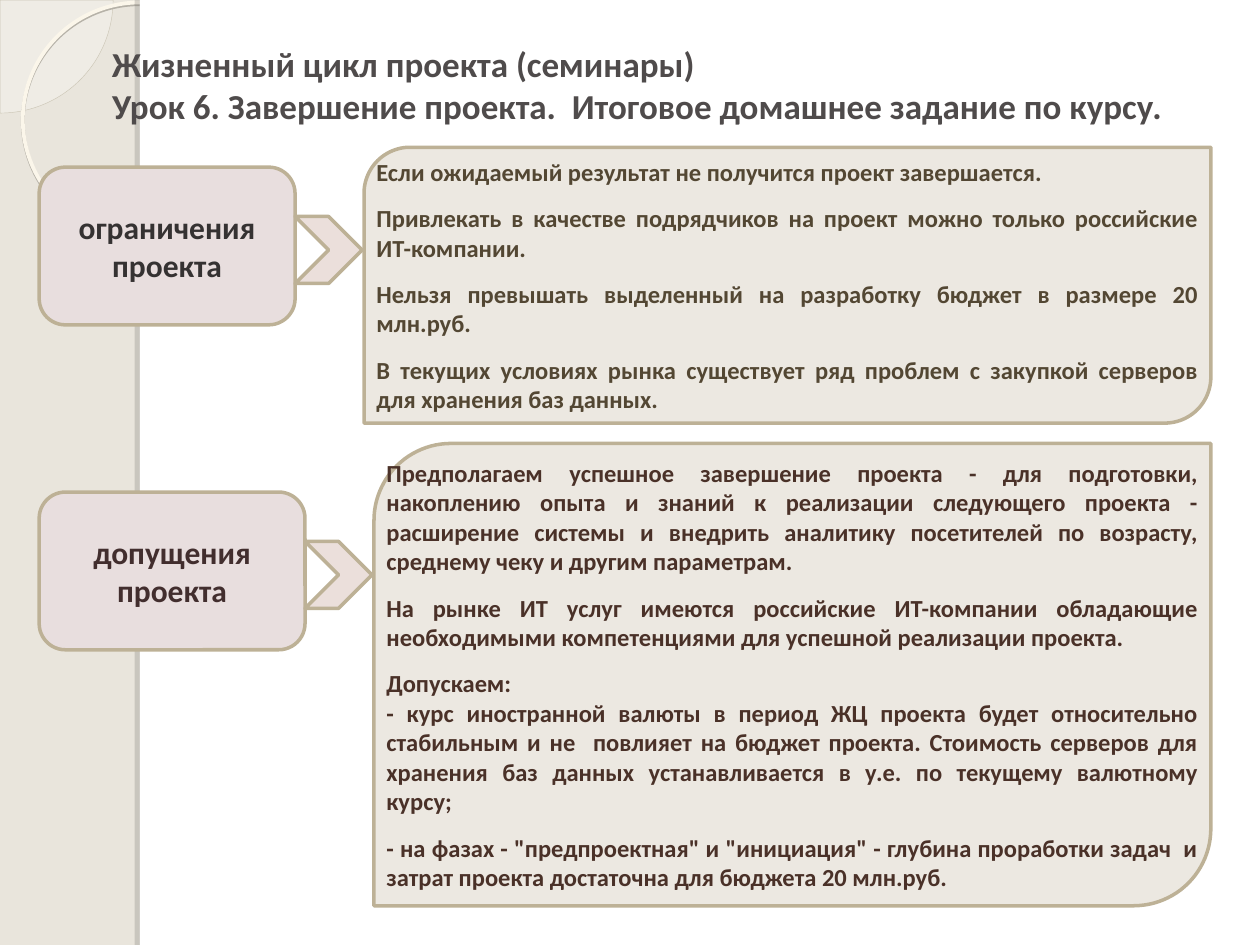
"""Build the slide on project constraints and assumptions."""
import math

import pptx
import pptx.dml.color
import pptx.enum.shapes
import pptx.enum.text
import pptx.oxml
import pptx.oxml.ns
import pptx.util
from lxml import etree

Cm = pptx.util.Cm
Pt = pptx.util.Pt
RGBColor = pptx.dml.color.RGBColor
SHAPE = pptx.enum.shapes.MSO_SHAPE
ALIGN = pptx.enum.text.PP_ALIGN
qn = pptx.oxml.ns.qn

WHITE = RGBColor(0xFF, 0xFF, 0xFF)
BACKGROUND = RGBColor(0xE9, 0xE5, 0xDC)
PIE_FILL = RGBColor(0xFC, 0xFB, 0xF8)
PIE_LINE = RGBColor(0xCC, 0xC6, 0xB6)
RING = RGBColor(0xFB, 0xF6, 0xEA)
RING_SHADOW = RGBColor(0xAD, 0xA9, 0x9F)
BAR_SHADOW = RGBColor(0x71, 0x6E, 0x69)
BORDER = RGBColor(0xBD, 0xB1, 0x96)
LABEL_FILL = RGBColor(0xE8, 0xDE, 0xDE)
PANEL_FILL = RGBColor(0xEC, 0xE8, 0xE1)
CHEVRON_FILL = RGBColor(0xEB, 0xDF, 0xDB)
TITLE_COLOR = RGBColor(0x4F, 0x4B, 0x4B)

TITLE = [
    "Жизненный цикл проекта (семинары)",
    "Урок 6. Завершение проекта.  Итоговое домашнее задание по курсу.",
]
SECTIONS = [
    {
        "label": "ограничения проекта",
        "label_color": RGBColor(0x35, 0x32, 0x32),
        "text_color": RGBColor(0x53, 0x47, 0x33),
        "label_top": 3.37, "label_width": 5.16,
        "panel_top": 2.97, "panel_height": 5.56,
        "text": [
            "Если ожидаемый результат не получится проект завершается.",
            "Привлекать в качестве подрядчиков на проект можно только российские ИТ-компании.",
            "Нельзя превышать выделенный на разработку бюджет в размере 20 млн.руб.",
            "В текущих условиях рынка существует ряд проблем с закупкой серверов для хранения баз данных.",
        ],
        "joined": (0,),
    },
    {
        "label": "допущения проекта",
        "label_color": RGBColor(0x42, 0x2E, 0x2E),
        "text_color": RGBColor(0x4A, 0x31, 0x28),
        "label_top": 9.92, "label_width": 5.36,
        "panel_top": 8.94, "panel_height": 9.32,
        "text": [
            "Предполагаем успешное завершение проекта - для подготовки, накоплению опыта и знаний "
            "к реализации следующего проекта - расширение системы и внедрить аналитику посетителей "
            "по возрасту, среднему чеку и другим параметрам.",
            "На рынке ИТ услуг имеются российские ИТ-компании обладающие необходимыми компетенциями "
            "для успешной реализации проекта.",
            "Допускаем:",
            "- курс иностранной валюты в период ЖЦ проекта будет относительно стабильным и не  "
            "повлияет на бюджет проекта. Стоимость серверов для хранения баз данных устанавливается "
            "в у.е. по текущему валютному курсу;",
            "- на фазах - \"предпроектная\" и \"инициация\" - глубина проработки задач  и затрат "
            "проекта достаточна для бюджета 20 млн.руб.",
        ],
        "joined": (0, 3),
    },
]
WIDTH, HEIGHT = 25.4, 19.05
SIDE = 2.82
LABEL_LEFT, LABEL_HEIGHT = 0.79, 3.18
CHEVRON_SIZE, CHEVRON_DROP = 1.35, 0.08
PANEL_GAP, PANEL_RIGHT = 1.39, 24.41
CORNER_STEPS = 24
PARAGRAPH_GAP = 9.75


def style_shape(shape, fill, line, line_width):
    shape.shadow.inherit = False
    if fill is None:
        shape.fill.background()
    else:
        shape.fill.solid()
        shape.fill.fore_color.rgb = fill
    if line is None:
        shape.line.fill.background()
    else:
        shape.line.color.rgb = line
        shape.line.width = Pt(line_width)
    return shape


def add_shape(slide, kind, left, top, width, height, fill=None, line=None, line_width=2):
    shape = slide.shapes.add_shape(kind, Cm(left), Cm(top), Cm(width), Cm(height))
    return style_shape(shape, fill, line, line_width)


def corner_points(center_x, center_y, radius, start):
    angles = [math.radians(start + 90 * step / CORNER_STEPS) for step in range(CORNER_STEPS + 1)]
    return [(Cm(center_x + radius * math.cos(angle)), Cm(center_y + radius * math.sin(angle)))
            for angle in angles]


def add_panel(slide, left, top, right, height):
    bottom = top + height
    radius = height / 6
    points = corner_points(left + radius, top + radius, radius, 180)
    points.append((Cm(right), Cm(top)))
    points += corner_points(right - radius, bottom - radius, radius, 0)
    points.append((Cm(left), Cm(bottom)))
    builder = slide.shapes.build_freeform(*points[0])
    builder.add_line_segments(points[1:], close=True)
    return style_shape(builder.convert_to_shape(), PANEL_FILL, BORDER, 2)


def set_opacity(color_element, percent):
    etree.SubElement(color_element, qn("a:alpha"), val=str(percent * 1000))


def add_shadow(shape, color, percent, distance, angle):
    effects = shape._element.spPr.find(qn("a:effectLst"))
    shadow = etree.SubElement(
        effects, qn("a:outerShdw"), blurRad="0", dist=str(Pt(distance)),
        dir=str(angle * 60000), algn="ctr", rotWithShape="0")
    set_opacity(etree.SubElement(shadow, qn("a:srgbClr"), val=str(color)), percent)


def write_text(shape, texts, size, color, alignment, gap=0, joined=()):
    frame = shape.text_frame
    frame.word_wrap = True
    frame.vertical_anchor = pptx.enum.text.MSO_ANCHOR.MIDDLE
    for index, text in enumerate(texts):
        paragraph = frame.add_paragraph() if index else frame.paragraphs[0]
        paragraph.text = text
        paragraph.alignment = alignment
        paragraph.space_before = Pt(0 if index in joined else gap)
        paragraph.font.name = "Calibri"
        paragraph.font.size = Pt(size)
        paragraph.font.bold = True
        paragraph.font.color.rgb = color


def add_decoration(slide):
    slide.background.fill.solid()
    slide.background.fill.fore_color.rgb = BACKGROUND
    pie = add_shape(slide, SHAPE.PIE, -2.27, -2.27, 4.55, 4.55, PIE_FILL, PIE_LINE, 0.25)
    pie.adjustments[0] = 0
    pie.adjustments[1] = 54
    set_opacity(pie._element.spPr.find(qn("a:solidFill"))[0], 33)
    ring = add_shape(slide, SHAPE.OVAL, 0.46, 0.05, 4.72, 4.72, line=RING, line_width=2.15)
    add_shadow(ring, RING_SHADOW, 85, 1, 90)
    add_shape(slide, SHAPE.RECTANGLE, SIDE, 0, WIDTH - SIDE, HEIGHT, WHITE)
    bar = add_shape(slide, SHAPE.RECTANGLE, SIDE, 0, 0.2, HEIGHT, WHITE)
    add_shadow(bar, BAR_SHADOW, 25, 3, 180)


def add_section(slide, section):
    label_right = LABEL_LEFT + section["label_width"]
    label = add_shape(slide, SHAPE.ROUNDED_RECTANGLE, LABEL_LEFT, section["label_top"],
                      section["label_width"], LABEL_HEIGHT, LABEL_FILL, BORDER)
    write_text(label, [section["label"]], 18, section["label_color"], ALIGN.CENTER)
    panel = add_panel(slide, label_right + PANEL_GAP, section["panel_top"],
                      PANEL_RIGHT, section["panel_height"])
    write_text(panel, section["text"], 14, section["text_color"], ALIGN.JUSTIFY,
               PARAGRAPH_GAP, section["joined"])
    chevron_top = section["label_top"] + (LABEL_HEIGHT - CHEVRON_SIZE) / 2 + CHEVRON_DROP
    add_shape(slide, SHAPE.CHEVRON, label_right, chevron_top, CHEVRON_SIZE, CHEVRON_SIZE,
              CHEVRON_FILL, BORDER)


def main():
    presentation = pptx.Presentation()
    presentation.slide_width, presentation.slide_height = Cm(WIDTH), Cm(HEIGHT)
    slide = presentation.slides.add_slide(presentation.slide_layouts[6])
    add_decoration(slide)
    for section in SECTIONS:
        add_section(slide, section)
    title = slide.shapes.add_textbox(Cm(2.01), Cm(0.8), Cm(22.81), Cm(1.8))
    write_text(title, TITLE, 20, TITLE_COLOR, ALIGN.LEFT)
    presentation.save("out.pptx")


if __name__ == "__main__":
    main()
